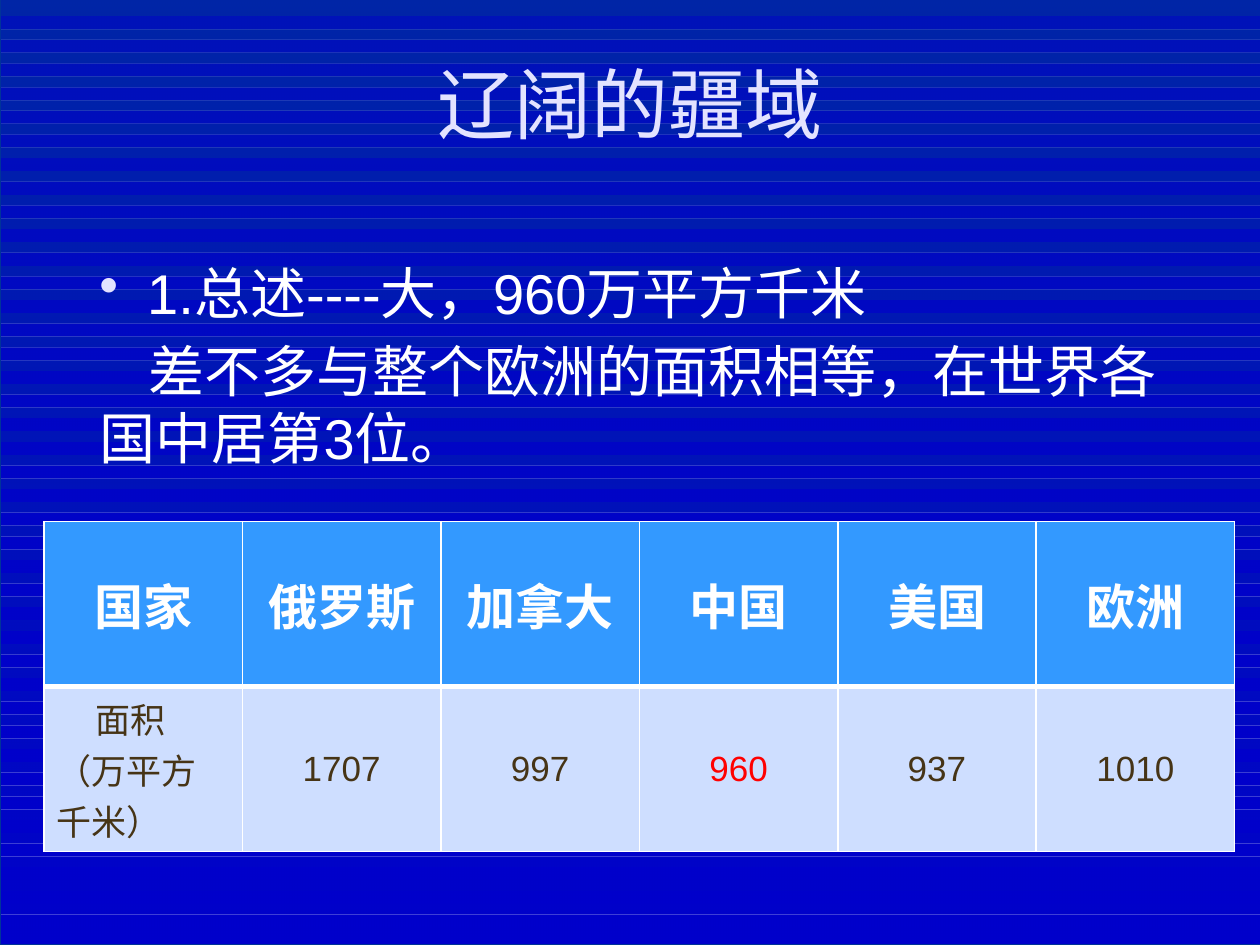
from lxml.etree import SubElement
from pptx import Presentation
from pptx.dml.color import RGBColor
from pptx.enum.shapes import MSO_SHAPE
from pptx.enum.text import MSO_ANCHOR, MSO_AUTO_SIZE, PP_ALIGN
from pptx.oxml.ns import qn
from pptx.util import Inches, Pt

NAVY = RGBColor(0x00, 0x33, 0x99)
BLUE = RGBColor(0x00, 0x00, 0xCC)
LAVENDER = RGBColor(0xE3, 0xE3, 0xFF)
WHITE = RGBColor(0xFF, 0xFF, 0xFF)
SKY = RGBColor(0x33, 0x99, 0xFF)
PALE = RGBColor(0xCE, 0xDE, 0xFF)
BROWN = RGBColor(0x46, 0x34, 0x16)
RED = RGBColor(0xFF, 0x00, 0x00)

COUNTRIES = ["国家", "俄罗斯", "加拿大", "中国", "美国", "欧洲"]
AREAS = ["面积\v（万平方千米）", "1707", "997", "960", "937", "1010"]


def set_font(paragraph, size, color, bold=False):
    font = paragraph.font
    font.name = "Arial"
    font.size = Pt(size)
    font.bold = bold
    font.color.rgb = color


def set_indent(paragraph, left, first):
    properties = paragraph._p.get_or_add_pPr()
    properties.set("marL", str(Inches(left)))
    properties.set("indent", str(Inches(first)))
    return properties


def add_bullet(paragraph, color):
    properties = set_indent(paragraph, 0.38, -0.38)
    bullet_color = SubElement(properties, qn("a:buClr"))
    SubElement(bullet_color, qn("a:srgbClr")).set("val", str(color))
    SubElement(properties, qn("a:buChar")).set("char", "•")


def fade_down(shape, opacity):
    """Blue gradient, see-through at the top and solid at the bottom."""
    shape.shadow.inherit = False
    shape.line.fill.background()
    shape.fill.gradient()
    shape.fill.gradient_angle = 270
    for stop, position in zip(shape.fill.gradient_stops, (0, 1)):
        stop.color.rgb = BLUE
        stop.position = position
    top_color = shape._element.spPr.findall(".//" + qn("a:srgbClr"))[0]
    SubElement(top_color, qn("a:alpha")).set("val", str(opacity * 1000))


def add_backdrop(page):
    page.background.fill.solid()
    page.background.fill.fore_color.rgb = NAVY
    left, right = Inches(0.01), Inches(10)
    panel = page.shapes.add_shape(
        MSO_SHAPE.RECTANGLE, left, 0, right - left, Inches(7.49))
    fade_down(panel, 27)

    # Evenly spaced stripes in one outline, joined along the right edge
    first, count = Inches(0.13), 39
    pitch, height = Inches(7.125) // 38, Inches(0.1)
    points = []
    for index in range(count):
        top = first + index * pitch
        bottom = top + height
        points += [(right, top), (left, top), (left, bottom), (right, bottom)]
    builder = page.shapes.build_freeform(*points[0])
    builder.add_line_segments(points[1:])
    fade_down(builder.convert_to_shape(), 49)


def add_title(page, text):
    title = page.shapes.title
    page.shapes._spTree.append(title._element)  # in front of the backdrop
    title.left, title.top = Inches(0.69), Inches(0.4)
    title.width, title.height = Inches(8.62), Inches(1.45)
    frame = title.text_frame
    frame.text = text
    frame.auto_size = MSO_AUTO_SIZE.NONE
    frame.vertical_anchor = MSO_ANCHOR.TOP
    frame.paragraphs[0].alignment = PP_ALIGN.CENTER
    set_font(frame.paragraphs[0], 44, LAVENDER)


def add_body(page):
    box = page.shapes.add_textbox(
        Inches(0.69), Inches(2), Inches(8.62), Inches(4.76))
    frame = box.text_frame
    frame.word_wrap = True
    summary = frame.paragraphs[0]
    summary.text = "1.总述----大，960万平方千米"
    add_bullet(summary, LAVENDER)
    detail = frame.add_paragraph()
    detail.text = "差不多与整个欧洲的面积相等，在世界各国中居第3位。"
    set_indent(detail, 0, 0.39)
    detail.space_before = Pt(6.4)
    for paragraph in (summary, detail):
        set_font(paragraph, 32, WHITE)


def set_borders(cell, widths):
    properties = cell._tc.get_or_add_tcPr()
    for side, width in zip("LRTB", widths):
        line = SubElement(properties, qn("a:ln" + side))
        line.set("w", str(Pt(width)))
        fill = SubElement(line, qn("a:solidFill"))
        SubElement(fill, qn("a:srgbClr")).set("val", str(WHITE))


def fill_cell(cell, text, fill, size, color, bold, widths):
    set_borders(cell, widths)
    cell.fill.solid()
    cell.fill.fore_color.rgb = fill
    cell.vertical_anchor = MSO_ANCHOR.MIDDLE
    cell.text = text
    paragraph = cell.text_frame.paragraphs[0]
    paragraph.alignment = PP_ALIGN.CENTER
    set_font(paragraph, size, color, bold)


def add_area_table(page):
    table = page.shapes.add_table(
        2, len(COUNTRIES), Inches(0.35), Inches(4.14),
        Inches(9.45), Inches(2.62)).table
    table.first_row = table.horz_banding = False
    for column, (country, area) in enumerate(zip(COUNTRIES, AREAS)):
        fill_cell(table.cell(0, column), country, SKY, 28, WHITE, True,
                  (1, 1, 1, 3))
        color = RED if country == "中国" else BROWN
        fill_cell(table.cell(1, column), area, PALE, 20, color, False,
                  (1, 1, 3, 1))
    # The row label is set left with an indented first line
    label = table.cell(1, 0).text_frame.paragraphs[0]
    label.alignment = PP_ALIGN.LEFT
    set_indent(label, 0, 0.31)


def main():
    deck = Presentation()
    deck.slide_width, deck.slide_height = Inches(10), Inches(7.5)
    page = deck.slides.add_slide(deck.slide_layouts[5])
    add_backdrop(page)
    add_title(page, "辽阔的疆域")
    add_body(page)
    add_area_table(page)
    deck.save("out.pptx")


if __name__ == "__main__":
    main()
